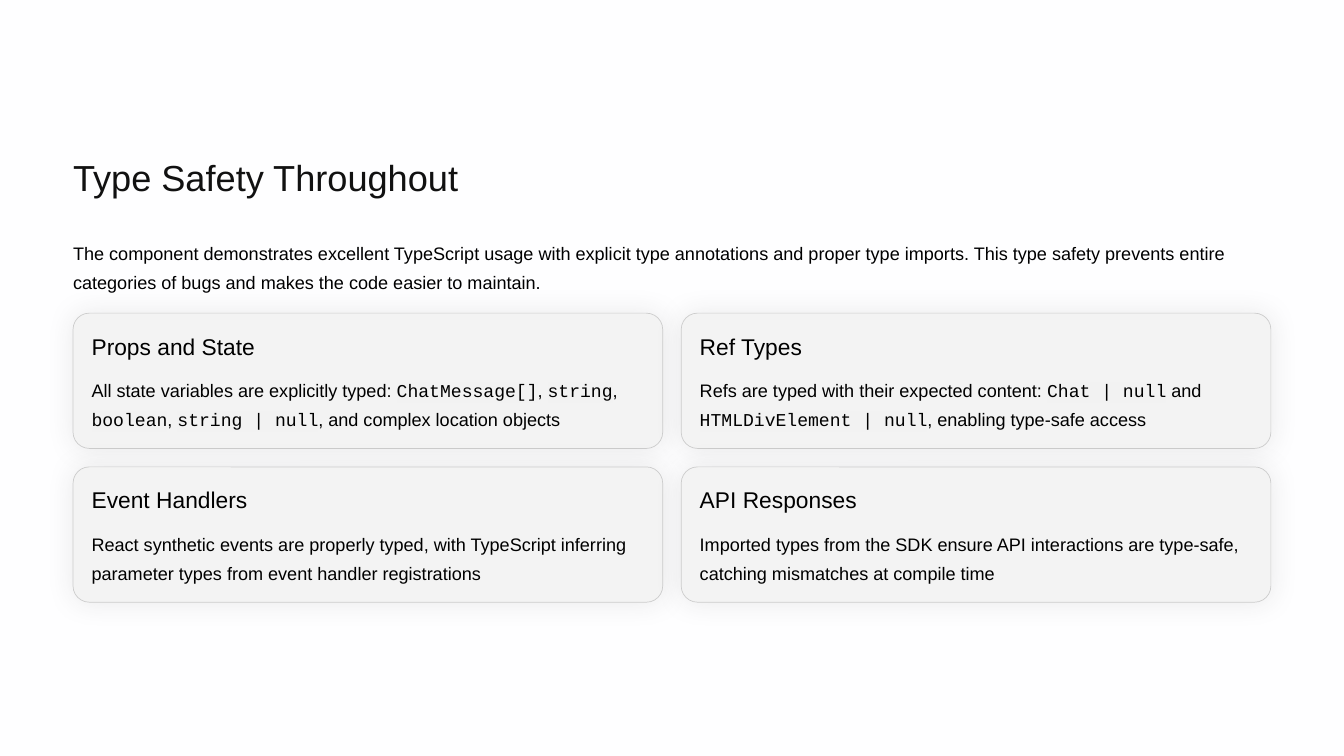
from dataclasses import dataclass

from lxml import etree
from pptx import Presentation
from pptx.dml.color import RGBColor
from pptx.enum.shapes import MSO_SHAPE
from pptx.enum.text import MSO_ANCHOR, MSO_AUTO_SIZE, PP_ALIGN
from pptx.oxml.ns import qn
from pptx.shapes.autoshape import Shape
from pptx.slide import Slide
from pptx.util import Cm, Pt

ROUNDED = MSO_SHAPE.ROUNDED_RECTANGLE
TOP, LEFT, NO_FIT = MSO_ANCHOR.TOP, PP_ALIGN.LEFT, MSO_AUTO_SIZE.NONE
TITLE_ONLY = 5


@dataclass(frozen=True)
class TextStyle:
    size: float
    line: float
    color: str = "000000"


@dataclass(frozen=True)
class Theme:
    background: str = "FEFEFF"
    card: str = "F3F3F3"
    border: str = "CCCCCC"
    shadow: str = "333333"
    code_highlight: str = "F2F2F2"
    font: str = "Arial"
    code_font: str = "Courier New"
    title: TextStyle = TextStyle(31, 39, "111111")
    heading: TextStyle = TextStyle(19.5, 24)
    body: TextStyle = TextStyle(15.5, 25)


@dataclass(frozen=True)
class Area:
    left: float
    top: float
    width: float
    height: float


@dataclass(frozen=True)
class Card:
    heading: str
    body: str


THEME = Theme()
MARGIN = 2.21
TITLE_AREA = Area(MARGIN, 4.62, 12.75, 1.37)
INTRO_AREA = Area(MARGIN, 7.11, 36.22, 1.75)
FIRST_CARD = Area(MARGIN, 9.47, 17.83, 4.09)
GAP = 0.56
PADDING = 0.56
COLUMNS = 2

TITLE = "Type Safety Throughout"
INTRO = (
    "The component demonstrates excellent TypeScript usage with explicit type "
    "annotations and proper type imports. This type safety prevents entire "
    "categories of bugs and makes the code easier to maintain."
)
CARDS = [
    Card("Props and State",
         "All state variables are explicitly typed: `ChatMessage[]`, `string`, "
         "`boolean`, `string | null`, and complex location objects"),
    Card("Ref Types",
         "Refs are typed with their expected content: `Chat | null` and "
         "`HTMLDivElement | null`, enabling type-safe access"),
    Card("Event Handlers",
         "React synthetic events are properly typed, with TypeScript inferring "
         "parameter types from event handler registrations"),
    Card("API Responses",
         "Imported types from the SDK ensure API interactions are type-safe, "
         "catching mismatches at compile time"),
]


def place(shape: Shape, area: Area) -> None:
    shape.left, shape.top = Cm(area.left), Cm(area.top)
    shape.width, shape.height = Cm(area.width), Cm(area.height)


def write(box: Shape, text: str, style: TextStyle) -> None:
    """Fill a box with one paragraph; parts between backticks are set as code."""
    frame = box.text_frame
    frame.word_wrap = True
    frame.auto_size = NO_FIT
    frame.vertical_anchor = TOP
    frame.margin_left = frame.margin_top = 0
    frame.margin_right = frame.margin_bottom = 0
    para = frame.paragraphs[0]
    para.alignment = LEFT
    para.line_spacing = Pt(style.line)
    para.space_before = Pt(0)
    for index, part in enumerate(text.split("`")):
        is_code = index % 2 == 1
        span = para.add_run()
        span.text = part
        span.font.size = Pt(style.size)
        span.font.color.rgb = RGBColor.from_string(style.color)
        if is_code:
            highlight = etree.SubElement(span.font._element, qn("a:highlight"))
            etree.SubElement(highlight, qn("a:srgbClr"), val=THEME.code_highlight)
        span.font.name = THEME.code_font if is_code else THEME.font


def add_text(page: Slide, area: Area, text: str, style: TextStyle) -> None:
    box = page.shapes.add_textbox(0, 0, 0, 0)
    place(box, area)
    write(box, text, style)


def add_glow_shadow(shape: Shape) -> None:
    """Give the shape a soft, centred shadow."""
    shape.shadow.inherit = False
    effects = shape._element.spPr.find(qn("a:effectLst"))
    shadow = etree.SubElement(effects, qn("a:outerShdw"), blurRad=str(Pt(23.4)),
                              dist="0", dir="0", algn="ctr", rotWithShape="0")
    color = etree.SubElement(shadow, qn("a:srgbClr"), val=THEME.shadow)
    etree.SubElement(color, qn("a:alpha"), val="10000")


def add_card(page: Slide, card: Card, area: Area) -> None:
    panel = page.shapes.add_shape(ROUNDED, 0, 0, 0, 0)
    place(panel, area)
    panel.adjustments[0] = 0.12
    panel.fill.solid()
    panel.fill.fore_color.rgb = RGBColor.from_string(THEME.card)
    panel.line.color.rgb = RGBColor.from_string(THEME.border)
    panel.line.width = Pt(0.6)
    add_glow_shadow(panel)

    left = area.left + PADDING
    add_text(page, Area(left, area.top + PADDING, 6.88, 0.86),
             card.heading, THEME.heading)
    add_text(page, Area(left, area.top + 1.77, 16.69, 1.75),
             card.body, THEME.body)


def main() -> None:
    deck = Presentation()
    deck.slide_width, deck.slide_height = Cm(40.64), Cm(22.86)
    page = deck.slides.add_slide(deck.slide_layouts[TITLE_ONLY])
    page.background.fill.solid()
    page.background.fill.fore_color.rgb = RGBColor.from_string(THEME.background)

    place(page.shapes.title, TITLE_AREA)
    write(page.shapes.title, TITLE, THEME.title)
    add_text(page, INTRO_AREA, INTRO, THEME.body)

    for index, card in enumerate(CARDS):
        row, column = divmod(index, COLUMNS)
        left = FIRST_CARD.left + column * (FIRST_CARD.width + GAP)
        top = FIRST_CARD.top + row * (FIRST_CARD.height + GAP)
        add_card(page, card, Area(left, top, FIRST_CARD.width, FIRST_CARD.height))

    deck.save("out.pptx")


if __name__ == "__main__":
    main()
